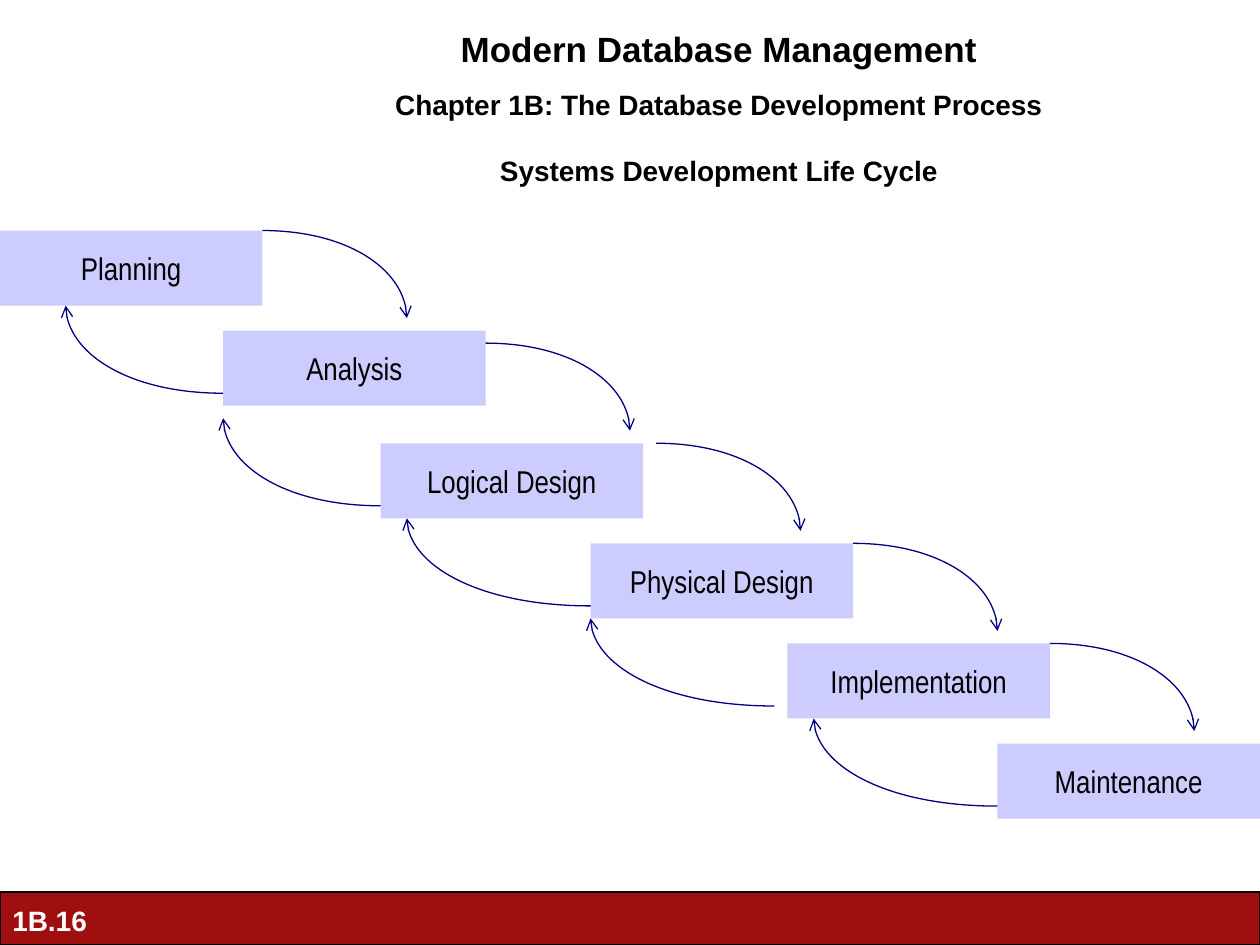
from lxml import etree
from pptx import Presentation, util as u
from pptx.dml.color import RGBColor
from pptx.enum import shapes, text
from pptx.oxml.ns import qn

WIDTH, HEIGHT = u.Inches(10), u.Inches(7.5)
COLUMN, ROW = WIDTH / 96, u.Inches(0.0993)
GRID_TOP = u.Inches(1.83)
BOX_COLUMNS, BOX_ROWS = 20, 6
CURVE = 0.55

PHASES = [
    ("Planning", 0, 0),
    ("Analysis", 17, 8),
    ("Logical Design", 29, 17),
    ("Physical Design", 45, 25),
    ("Implementation", 60, 33),
    ("Maintenance", 76, 41),
]
FORWARD_STARTS = [(20, 0), (37, 9), (50, 17), (65, 25), (80, 33)]
BACK_ARROWS = [
    ((17, 13), (5, 6)),
    ((29, 22), (17, 15)),
    ((45, 30), (31, 23)),
    ((59, 38), (45, 31)),
    ((76, 46), (62, 39)),
]


def color(value):
    """Turn a hex string into a colour."""
    return RGBColor.from_string(value)


def grid_point(column, row):
    """Return the slide position of a grid point."""
    return round(column * COLUMN), round(GRID_TOP + row * ROW)


def place(shape, left, top, width, height):
    """Position a shape by lengths in inches."""
    shape.left, shape.top = u.Inches(left), u.Inches(top)
    shape.width, shape.height = u.Inches(width), u.Inches(height)


def add_run(paragraph, words, size, fill="000000", name="Arial", bold=True):
    """Add one formatted run to a paragraph."""
    run = paragraph.add_run()
    run.text = words
    run.font.size, run.font.name, run.font.bold = u.Pt(size), name, bold
    run.font.color.rgb = color(fill)


def add_text_box(slide, bounds, lines, alignment, fill="000000"):
    """Add a text box with one paragraph for each sized line."""
    box = slide.shapes.add_textbox(0, 0, 0, 0)
    place(box, *bounds)
    frame = box.text_frame
    frame.word_wrap = True
    for index, (words, size) in enumerate(lines):
        paragraph = frame.add_paragraph() if index else frame.paragraphs[0]
        paragraph.alignment = alignment
        if index:
            paragraph.space_before = u.Pt(10)
        add_run(paragraph, words, size, fill)


def set_title(slide, words):
    """Move and fill the title placeholder."""
    title = slide.shapes.title
    place(title, 1.83, 1.17, 7.75, 0.33)
    frame = title.text_frame
    frame.auto_size = text.MSO_AUTO_SIZE.NONE
    frame.vertical_anchor = text.MSO_ANCHOR.TOP
    frame.paragraphs[0].alignment = text.PP_ALIGN.CENTER
    add_run(frame.paragraphs[0], words, 16)


def add_rectangle(slide, left, top, width, height, fill):
    """Add a plain rectangle without a line."""
    shape = slide.shapes.add_shape(
        shapes.MSO_SHAPE.RECTANGLE, left, top, width, height)
    shape.shadow.inherit = False
    shape.fill.solid()
    shape.fill.fore_color.rgb = color(fill)
    shape.line.fill.background()
    return shape


def add_footer(slide, label):
    """Add the bottom band and its page label."""
    top = u.Inches(7.08)
    band = add_rectangle(slide, 0, top, WIDTH, HEIGHT - top, "9F0F10")
    band.line.color.rgb = color("000000")
    band.line.width = u.Pt(0.75)
    add_text_box(slide, (0, 7.12, 0.83, 0.37), [(label, 16)],
                 text.PP_ALIGN.LEFT, "FFFFFF")


def add_phase(slide, name, column, row):
    """Add a phase box at a grid point."""
    left, top = grid_point(column, row)
    box = add_rectangle(slide, left, top, round(BOX_COLUMNS * COLUMN),
                        round(BOX_ROWS * ROW), "CCCCFF")
    frame = box.text_frame
    frame.word_wrap = False
    frame.vertical_anchor = text.MSO_ANCHOR.MIDDLE
    frame.paragraphs[0].alignment = text.PP_ALIGN.CENTER
    add_run(frame.paragraphs[0], name, 18, name="Arial Narrow", bold=False)


def add_curved_arrow(slide, start, end):
    """Add a quarter-ellipse arrow that leaves its start horizontally."""
    (x1, y1), (x2, y2) = grid_point(*start), grid_point(*end)
    builder = slide.shapes.build_freeform(x1, y1)
    builder.add_line_segments([(x2, y2)], close=False)
    arrow = builder.convert_to_shape()
    arrow.shadow.inherit = False
    arrow.fill.background()
    arrow.line.color.rgb = color("000080")
    arrow.line.width = u.Pt(0.75)
    properties = arrow.element.spPr
    etree.SubElement(properties.find(qn("a:ln")), qn("a:tailEnd"), type="arrow")
    segment = next(properties.iter(qn("a:lnTo")))
    curve = etree.Element(qn("a:cubicBezTo"))
    points = [(x1 + CURVE * (x2 - x1), y1),
              (x2, y2 - CURVE * (y2 - y1)), (x2, y2)]
    for x, y in points:
        etree.SubElement(curve, qn("a:pt"), x=str(round(x - min(x1, x2))),
                         y=str(round(y - min(y1, y2))))
    segment.getparent().replace(segment, curve)


def main():
    """Build the life cycle slide."""
    presentation = Presentation()
    presentation.slide_width, presentation.slide_height = WIDTH, HEIGHT
    slide = presentation.slides.add_slide(presentation.slide_layouts[5])
    add_footer(slide, "1B.16")
    add_text_box(slide, (2.83, 0.17, 5.75, 0.84), [
        ("Modern Database Management", 20),
        ("Chapter 1B: The Database Development Process", 16),
    ], text.PP_ALIGN.CENTER)
    set_title(slide, "Systems Development Life Cycle")
    for phase in PHASES:
        add_phase(slide, *phase)
    for column, row in FORWARD_STARTS:
        add_curved_arrow(slide, (column, row), (column + 11, row + 7))
    for start, end in BACK_ARROWS:
        add_curved_arrow(slide, start, end)
    presentation.save("out.pptx")


if __name__ == "__main__":
    main()
